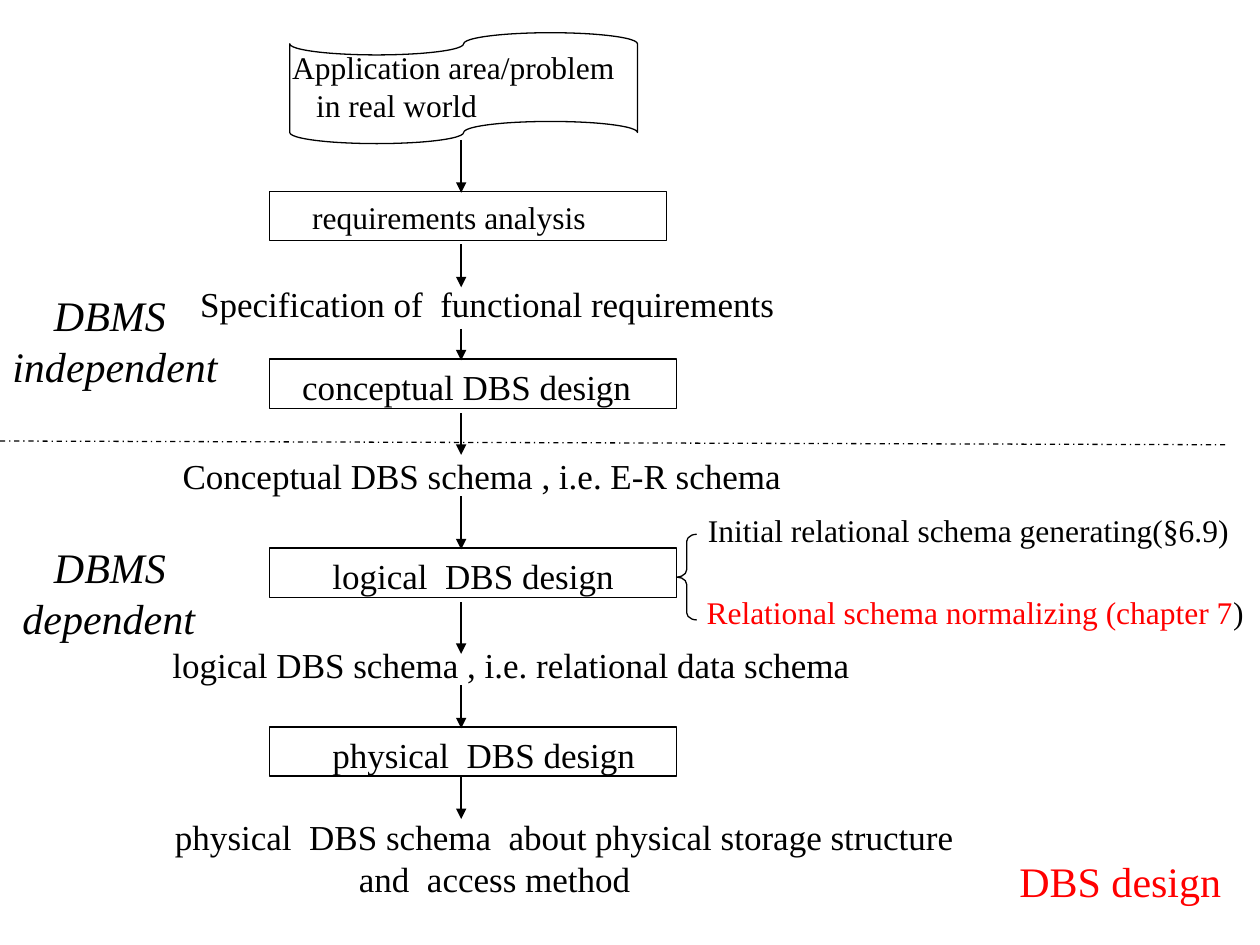
from lxml.etree import SubElement
from pptx import Presentation
from pptx.dml.color import RGBColor
from pptx.enum.dml import MSO_LINE
from pptx.enum.shapes import MSO_CONNECTOR, MSO_SHAPE
from pptx.enum.text import MSO_ANCHOR, MSO_AUTO_SIZE, PP_ALIGN
from pptx.oxml.ns import qn
from pptx.util import Inches, Pt

COLORS = {"ink": "000000", "accent": "FF0000"}
FONT = "Times New Roman"
ARROW_X = 3.66

deck = Presentation()
deck.slide_width, deck.slide_height = Inches(10), Inches(7.5)
page = deck.slides.add_slide(deck.slide_layouts[5])


def write(box, place, size, lines, italic=False):
    box.left, box.top, box.width, box.height = [Inches(v) for v in place]
    frame = box.text_frame
    frame.word_wrap = True
    frame.auto_size = MSO_AUTO_SIZE.NONE
    frame.vertical_anchor = MSO_ANCHOR.TOP
    frame.margin_right = 0
    for index, (indent, spans) in enumerate(lines):
        para = frame.add_paragraph() if index else frame.paragraphs[0]
        para.alignment = PP_ALIGN.LEFT
        para._p.get_or_add_pPr().set("marL", str(Inches(indent)))
        for text, color in spans:
            span = para.add_run()
            span.text = text
            span.font.name, span.font.size = FONT, Pt(size)
            span.font.italic = italic
            span.font.color.rgb = RGBColor.from_string(COLORS[color])


def draw_line(x1, y1, x2, y2):
    line = page.shapes.add_connector(
        MSO_CONNECTOR.STRAIGHT, Inches(x1), Inches(y1), Inches(x2), Inches(y2))
    line.line.color.rgb = RGBColor.from_string(COLORS["ink"])
    line.line.width = Pt(0.75)
    SubElement(line._element.spPr, qn("a:effectLst"))
    return line


outlines = [
    (MSO_SHAPE.FLOWCHART_PUNCHED_TAPE, 2.3, 0.26, 2.76, 0.88),
    (MSO_SHAPE.RECTANGLE, 2.14, 1.52, 3.15, 0.39),
    (MSO_SHAPE.RECTANGLE, 2.14, 2.85, 3.23, 0.39),
    (MSO_SHAPE.RECTANGLE, 2.14, 4.35, 3.23, 0.39),
    (MSO_SHAPE.RECTANGLE, 2.14, 5.77, 3.23, 0.39),
    (MSO_SHAPE.LEFT_BRACE, 5.37, 4.24, 0.16, 0.68),
]
for kind, *place in outlines:
    shape = page.shapes.add_shape(kind, *[Inches(v) for v in place])
    shape.shadow.inherit = False
    shape.fill.background()
    shape.line.color.rgb = RGBColor.from_string(COLORS["ink"])
    shape.line.width = Pt(0.75)
    if kind == MSO_SHAPE.LEFT_BRACE:
        shape.adjustments[0] = 0.36

labels = [
    ((2.22, 0.33, 2.76, 0.7), 18, [(0, "Application area/problem"), (0.19, "in real world")]),
    ((2.38, 1.52, 2.37, 0.4), 18, [(0, "requirements analysis")]),
    ((1.49, 2.19, 4.76, 0.44), 20, [(0, "Specification of  functional requirements")]),
    ((2.3, 2.85, 2.81, 0.44), 20, [(0, "conceptual DBS design")]),
    ((1.35, 3.56, 4.95, 0.44), 20, [(0, "Conceptual DBS schema , i.e. E-R schema")]),
    ((2.54, 4.35, 2.43, 0.44), 20, [(0, "logical  DBS design")]),
    ((1.27, 5.06, 5.58, 0.44), 20, [(0, "logical DBS schema , i.e. relational data schema")]),
    ((2.54, 5.77, 2.6, 0.44), 20, [(0, "physical  DBS design")]),
    ((1.29, 6.42, 6.39, 0.77), 20, [
        (0, "physical  DBS schema  about physical storage structure"),
        (1.46, "and  access method")]),
    ((5.52, 4.01, 4.42, 0.4), 18, [(0, "Initial relational schema generating(§6.9)")]),
]
for place, size, lines in labels:
    box = page.shapes.add_textbox(0, 0, 0, 0)
    write(box, place, size, [(indent, [(text, "ink")]) for indent, text in lines])

box = page.shapes.add_textbox(0, 0, 0, 0)
write(box, (5.51, 4.66, 4.46, 0.4), 18,
      [(0, [("Relational schema normalizing (chapter 7", "accent"), (")", "ink")])])

for top, indent, word in [(2.25, 0, "independent"), (4.25, 0.08, "dependent")]:
    box = page.shapes.add_textbox(0, 0, 0, 0)
    write(box, (0, top, 1.83, 0.9), 24,
          [(0.33, [("DBMS", "ink")]), (indent, [(word, "ink")])], italic=True)

divider = draw_line(0, 3.5, 9.74, 3.53)
divider.line.dash_style = MSO_LINE.DASH_DOT

arrows = [(1.11, 1.53), (1.94, 2.28), (2.61, 2.86), (3.28, 3.61),
          (3.94, 4.36), (4.78, 5.19), (5.44, 5.78), (6.17, 6.5)]
for start, end in arrows:
    arrow = draw_line(ARROW_X, start, ARROW_X, end)
    SubElement(arrow.line._get_or_add_ln(), qn("a:tailEnd"), type="triangle")

write(page.shapes.title, (7.99, 6.74, 1.8, 0.5), 24, [(0, [("DBS design", "accent")])])

deck.save("out.pptx")
